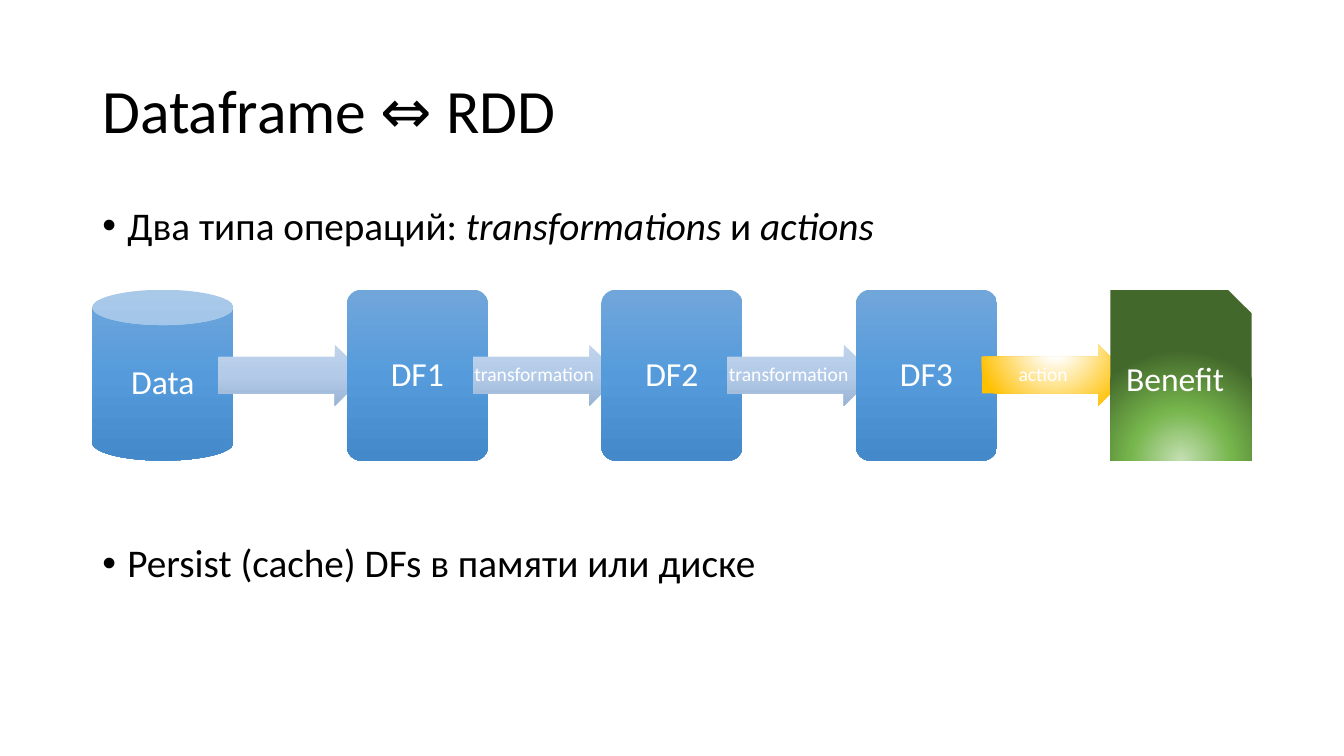
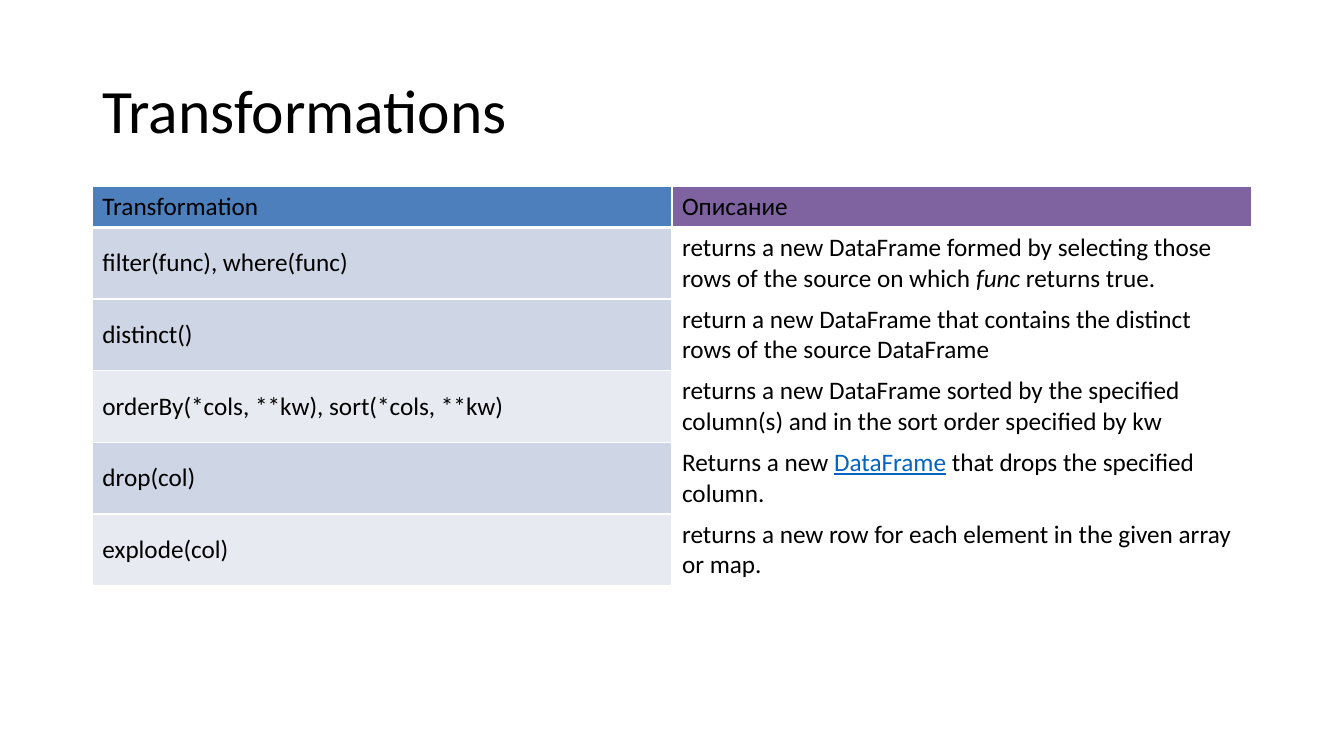
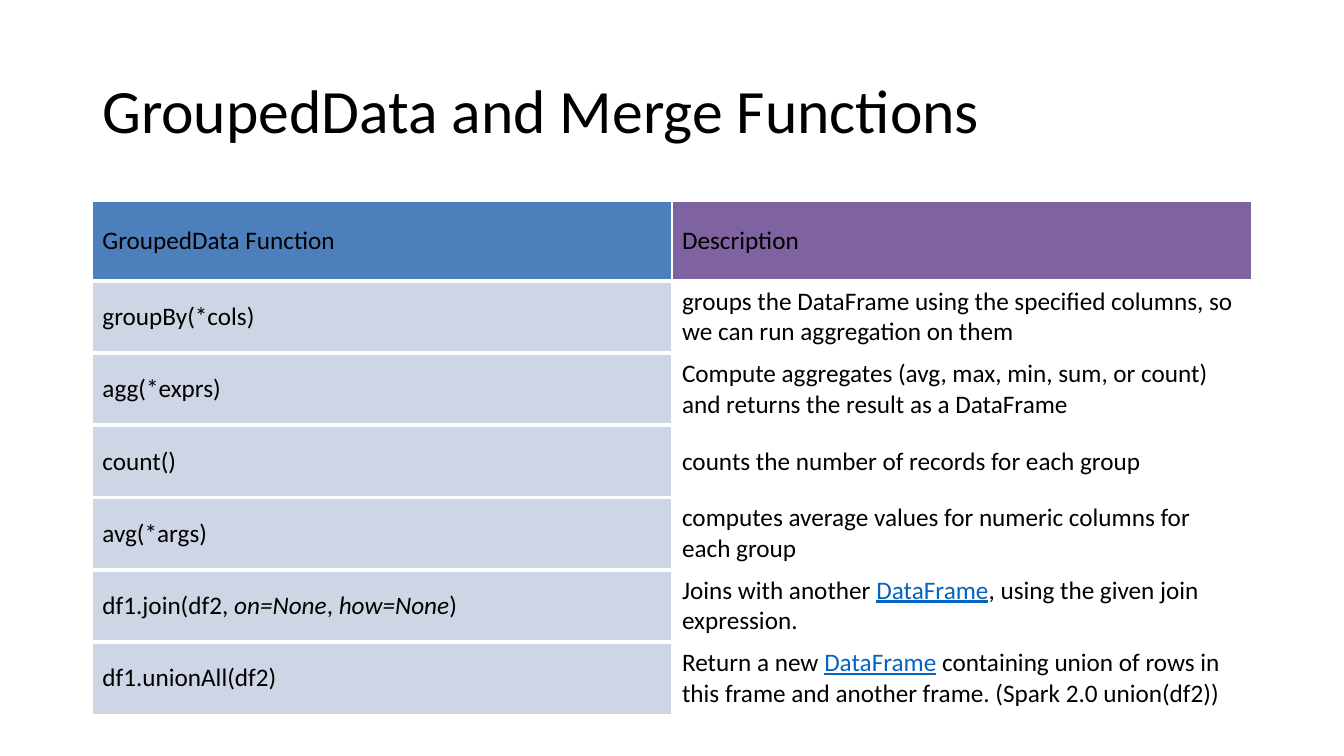
import pptx
import pptx.dml.color
import pptx.enum.shapes
import pptx.enum.text
import pptx.oxml
import pptx.oxml.ns
import pptx.util

Pt = pptx.util.Pt
RGBColor = pptx.dml.color.RGBColor
Shape = pptx.enum.shapes.MSO_SHAPE
Anchor = pptx.enum.text.MSO_ANCHOR
Align = pptx.enum.text.PP_ALIGN

BLACK = RGBColor(0x00, 0x00, 0x00)
WHITE = RGBColor(0xFF, 0xFF, 0xFF)
LINK_BLUE = RGBColor(0x05, 0x63, 0xC1)
HEAD_BLUE = RGBColor(0x4C, 0x7F, 0xBC)
HEAD_PURPLE = RGBColor(0x7F, 0x63, 0xA0)
ROW_DARK = RGBColor(0xCE, 0xD6, 0xE5)
ROW_LIGHT = RGBColor(0xE8, 0xEA, 0xF2)

# Gradient stops: position in percent, colour
BOX_BLUE = [(0, RGBColor(0x71, 0xA6, 0xDB)), (50, RGBColor(0x55, 0x9B, 0xDB)),
            (100, RGBColor(0x44, 0x8A, 0xCA))]
ARROW_BLUE = [(0, RGBColor(0xC0, 0xD3, 0xEB)), (50, RGBColor(0xB3, 0xCB, 0xE9)),
              (100, RGBColor(0x9B, 0xB4, 0xD3))]
ACTION_GOLD = [(0, WHITE), (15, WHITE), (100, RGBColor(0xFF, 0xC0, 0x00))]
BENEFIT_GREEN = [(0, RGBColor(0xC5, 0xE0, 0xB4)), (46, RGBColor(0x76, 0xB5, 0x4C)),
                 (100, RGBColor(0x43, 0x68, 0x2B))]
# Focus of a circular gradient: left, top, right, bottom in percent
ABOVE = (50, -80, 50, 180)
BELOW = (50, 130, 50, -30)

FONT = "Calibri"
LEFT, WIDTH = 66, 828

PLAIN, ITALIC, LINK = "plain", "italic", "link"
FRAME_LINK = ("DataFrame", LINK)

TRANSFORMATIONS = [
    ("Transformation", "Описание"),
    ("filter(func), where(func)",
     ["returns a new DataFrame formed by selecting those rows of the source on which ",
      ("func ", ITALIC), "returns true."]),
    ("distinct()",
     "return a new DataFrame that contains the distinct rows of the source DataFrame"),
    ("orderBy(*cols, **kw), sort(*cols, **kw)",
     "returns a new DataFrame sorted by the specified column(s) and in the sort order "
     "specified by kw"),
    ("drop(col)", ["Returns a new ", FRAME_LINK, " that drops the specified column."]),
    ("explode(col)", "returns a new row for each element in the given array or map."),
]
GROUPED_FUNCTIONS = [
    ("GroupedData Function", "Description"),
    ("groupBy(*cols)",
     "groups the DataFrame using the specified columns, so we can run aggregation on them"),
    ("agg(*exprs)",
     "Compute aggregates (avg, max, min, sum, or count) and returns the result as a DataFrame"),
    ("count()", "counts the number of records for each group"),
    ("avg(*args)", "computes average values for numeric columns for each group"),
    (["df1.join(df2, ", ("on=None", ITALIC), ", ", ("how=None", ITALIC), ")"],
     ["Joins with another ", FRAME_LINK, ", using the given join expression."]),
    ("df1.unionAll(df2)",
     ["Return a new ", FRAME_LINK,
      " containing union of rows in this frame and another frame. (Spark 2.0 union(df2))"]),
]


def xml(text):
    """Parse one element in the drawing namespace."""
    tag, rest = text[1:].split(" ", 1)
    return pptx.oxml.parse_xml(f"<{tag} {pptx.oxml.ns.nsdecls('a')} {rest}")


def write(para, content, size, color=BLACK):
    """Fill a paragraph with a string or a list of strings and (text, style) pairs."""
    para.font.name, para.font.size, para.font.color.rgb = FONT, Pt(size), color
    for part in [content] if isinstance(content, str) else content:
        text, style = (part, PLAIN) if isinstance(part, str) else part
        span = para.add_run()
        span.text = text
        if style == ITALIC:
            span.font.italic = True
        elif style == LINK:
            span.font.underline = True
            span.font.color.rgb = LINK_BLUE


def add_text_frame(page, top, height, anchor):
    frame = page.shapes.add_textbox(Pt(LEFT), Pt(top), Pt(WIDTH), Pt(height)).text_frame
    frame.word_wrap = True
    frame.vertical_anchor = anchor
    return frame


def add_page(deck, title):
    page = deck.slides.add_slide(deck.slide_layouts[6])
    para = add_text_frame(page, 28.75, 104.4, Anchor.MIDDLE).paragraphs[0]
    para.line_spacing = 0.9
    write(para, title, 44)
    return page


def add_bullets(page, top, height, bullets):
    """Place bullets given as (space before, content)."""
    frame = add_text_frame(page, top, height, Anchor.TOP)
    for index, (space, content) in enumerate(bullets):
        para = frame.add_paragraph() if index else frame.paragraphs[0]
        para.line_spacing = 0.9
        para.space_before = Pt(space)
        props = para._p.get_or_add_pPr()
        props.set("marL", str(Pt(18)))
        props.set("indent", str(-Pt(18)))
        props.append(xml('<a:buFont typeface="Arial"/>'))
        props.append(xml('<a:buChar char="•"/>'))
        write(para, content, 28)


def set_gradient(shape, stops, focus=None):
    """Fill from top to bottom, or in circles around the focus."""
    shape.fill.gradient()
    fill = shape.element.spPr.find(pptx.oxml.ns.qn("a:gradFill"))
    for child in list(fill):
        fill.remove(child)
    marks = "".join(f'<a:gs pos="{place * 1000}"><a:srgbClr val="{color}"/></a:gs>'
                    for place, color in stops)
    fill.append(xml(f"<a:gsLst >{marks}</a:gsLst>"))
    if focus:
        left, top, right, bottom = (edge * 1000 for edge in focus)
        fill.append(xml(f'<a:path path="circle"><a:fillToRect l="{left}" t="{top}" '
                        f'r="{right}" b="{bottom}"/></a:path>'))
    else:
        fill.append(xml('<a:lin ang="5400000" scaled="0"/>'))


def add_step(page, kind, box, label, size, margins, gradient, adjustments=()):
    """Add one labelled shape of the flow; gradient is (stops, focus)."""
    shape = page.shapes.add_shape(kind, *(Pt(length) for length in box))
    shape.shadow.inherit = False
    shape.line.fill.background()
    for index, value in enumerate(adjustments):
        shape.adjustments[index] = value
    set_gradient(shape, *gradient)
    frame = shape.text_frame
    frame.word_wrap = True
    frame.vertical_anchor = Anchor.MIDDLE
    (frame.margin_left, frame.margin_top,
     frame.margin_right, frame.margin_bottom) = (Pt(margin) for margin in margins)
    if label:
        para = frame.paragraphs[0]
        para.alignment = Align.CENTER
        para.line_spacing = 0.9
        write(para, label, size, WHITE)


def add_flow(page, left, top, width, height):
    """Draw the chain of steps; each step partly covers the arrow before it."""
    rounded = (Shape.ROUNDED_RECTANGLE, (BOX_BLUE, None), (0.1,))
    steps = [
        ("Data", (Shape.CAN, (BOX_BLUE, None), ())),
        ("DF1", rounded),
        ("DF2", rounded),
        ("DF3", rounded),
        ("Benefit", (Shape.SNIP_1_RECTANGLE, (BENEFIT_GREEN, BELOW), ())),
    ]
    arrows = [("", (ARROW_BLUE, None)), ("transformation", (ARROW_BLUE, None)),
              ("transformation", (ARROW_BLUE, None)), ("action", (ACTION_GOLD, ABOVE))]
    step_width, arrow_width, arrow_height = 100.8, 105, 43.6
    pitch = (width - step_width) / (len(steps) - 1)
    for index, (label, (kind, gradient, adjustments)) in enumerate(steps):
        x = left + index * pitch
        add_step(page, kind, (x, top, step_width, height), label, 24, (7.2,) * 4,
                 gradient, adjustments)
        if index < len(arrows):
            label, gradient = arrows[index]
            box = (x + 90, top + (height - arrow_height) / 2, arrow_width, arrow_height)
            add_step(page, Shape.RIGHT_ARROW, box, label, 14, (0, 0, 4.4, 0),
                     gradient, (0.6, 0.5))


def set_borders(cell, top, bottom):
    """Draw white borders; the side borders are 1 pt wide."""
    props = cell._tc.get_or_add_tcPr()
    for index, (side, weight) in enumerate(zip("LRTB", (1, 1, top, bottom))):
        props.insert(index, xml(
            f'<a:ln{side} w="{Pt(weight)}"><a:solidFill><a:srgbClr val="{WHITE}"/>'
            f"</a:solidFill></a:ln{side}>"))


def add_function_table(page, top, rows, head_height, row_height, row_fills, rule):
    """Place a two-column table; rule is the weight of the lines between rows."""
    height = head_height + row_height * (len(rows) - 1)
    table = page.shapes.add_table(len(rows), 2, Pt(LEFT), Pt(top), Pt(WIDTH), Pt(height)).table
    table.first_row = table.horz_banding = False
    fills = [(HEAD_BLUE, HEAD_PURPLE)] + [(fill, WHITE) for fill in row_fills]
    weights = [1, 3] + [rule] * (len(rows) - 2) + [1]
    for row, contents in enumerate(rows):
        table.rows[row].height = Pt(row_height if row else head_height)
        for column, content in enumerate(contents):
            cell = table.cell(row, column)
            cell.vertical_anchor = Anchor.MIDDLE
            cell.fill.solid()
            cell.fill.fore_color.rgb = fills[row][column]
            set_borders(cell, weights[row], weights[row + 1])
            write(cell.text_frame.paragraphs[0], content, 18)


def main():
    deck = pptx.Presentation()
    deck.slide_width, deck.slide_height = Pt(960), Pt(540)

    page = add_page(deck, "Dataframe ⇔ RDD")
    add_bullets(page, 143.75, 342.6, [
        (10, ["Два типа операций: ", ("transformations ", ITALIC), "и ", ("actions", ITALIC)]),
        (211, "Persist (cache) DFs в памяти или диске"),
    ])
    add_flow(page, LEFT, 207, WIDTH, 122)

    page = add_page(deck, "Transformations")
    add_function_table(page, 133.2, TRANSFORMATIONS, 29.2, 51.2,
                       [ROW_DARK, ROW_DARK, ROW_LIGHT, ROW_DARK, ROW_LIGHT], 1)

    page = add_page(deck, "GroupedData and Merge Functions")
    add_function_table(page, 144, GROUPED_FUNCTIONS, 56.6, 51.6, [ROW_DARK] * 6, 3)

    deck.save("out.pptx")


if __name__ == "__main__":
    main()
